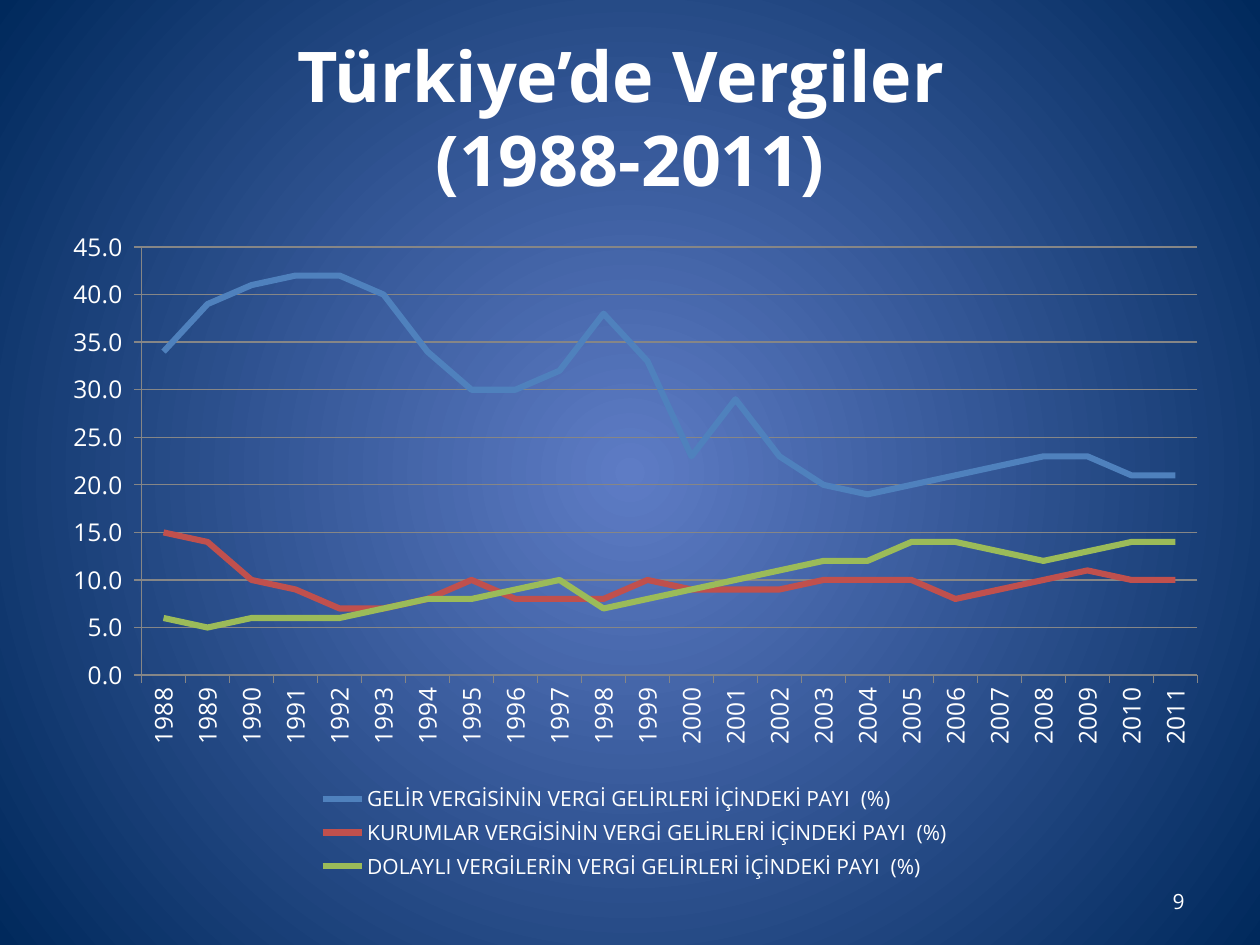
from dataclasses import dataclass
from lxml import etree
from pptx import Presentation
from pptx.chart.data import CategoryChartData
from pptx.dml.color import RGBColor
from pptx.enum.chart import XL_CHART_TYPE, XL_LEGEND_POSITION, XL_TICK_MARK
from pptx.enum.text import MSO_ANCHOR, MSO_AUTO_SIZE, PP_ALIGN
from pptx.oxml import parse_xml
from pptx.oxml.ns import nsdecls, qn
from pptx.util import Pt

LINE = XL_CHART_TYPE.LINE
BOTTOM = XL_LEGEND_POSITION.BOTTOM
OUTSIDE = XL_TICK_MARK.OUTSIDE
MIDDLE = MSO_ANCHOR.MIDDLE
NO_FIT = MSO_AUTO_SIZE.NONE
CENTER, RIGHT = PP_ALIGN.CENTER, PP_ALIGN.RIGHT
SCALE = 914400 / 126


@dataclass(frozen=True)
class Theme:
    """Colours, font and type sizes of the deck."""
    font: str = "Open Sans"
    text: str = "FFFFFF"
    glow: str = "5E7CC5"
    edge: str = "00295C"
    grid: str = "868686"
    lines: tuple = ("4F81BD", "C0504D", "9BBB59")
    title: int = 40
    axis: int = 14
    small: int = 12
    stroke: float = 3.5


THEME = Theme()
YEARS = [str(year) for year in range(1988, 2012)]
SHARES = {
    "GELİR VERGİSİNİN": (
        34, 39, 41, 42, 42, 40, 34, 30, 30, 32, 38, 33,
        23, 29, 23, 20, 19, 20, 21, 22, 23, 23, 21, 21),
    "KURUMLAR VERGİSİNİN": (
        15, 14, 10, 9, 7, 7, 8, 10, 8, 8, 8, 10,
        9, 9, 9, 10, 10, 10, 8, 9, 10, 11, 10, 10),
    "DOLAYLI VERGİLERİN": (
        6, 5, 6, 6, 6, 7, 8, 8, 9, 10, 7, 8,
        9, 10, 11, 12, 12, 14, 14, 13, 12, 13, 14, 14),
}


def px(count):
    """Turn pixels into EMU."""
    return round(count * SCALE)


def rgb(code):
    """Turn a hex code into a colour."""
    return RGBColor.from_string(code)


def style(font, size, bold=False):
    """Give a font the theme's face and colour."""
    font.name, font.size, font.bold = THEME.font, Pt(size), bold
    font.color.rgb = rgb(THEME.text)


def place(shape, box):
    """Move a shape to a pixel box."""
    shape.left, shape.top, shape.width, shape.height = map(px, box)


def paint(slide):
    """Fill the background with a round glow."""
    fill = slide.background.fill
    fill.gradient()
    for stop, code, spot in zip(fill.gradient_stops, (THEME.glow, THEME.edge), (0, 1)):
        stop.color.rgb = rgb(code)
        stop.position = spot
    grad = slide.element.find(".//" + qn("a:gradFill"))
    grad.replace(grad.find(qn("a:lin")), parse_xml(
        f'<a:path {nsdecls("a")} path="circle">'
        '<a:fillToRect l="50000" t="50000" r="50000" b="50000"/></a:path>'))


def add_title(slide, box, rows):
    """Set the title, one run to a row."""
    title = slide.shapes.title
    place(title, box)
    frame = title.text_frame
    frame.auto_size, frame.vertical_anchor = NO_FIT, MIDDLE
    para = frame.paragraphs[0]
    para.alignment = CENTER
    for at, row in enumerate(rows):
        if at:
            para.add_line_break()
        run = para.add_run()
        run.text = row
        style(run.font, THEME.title, True)


def add_number(slide, box, text):
    """Write the page number at the right of its box."""
    shape = slide.shapes.add_textbox(*map(px, box))
    frame = shape.text_frame
    frame.word_wrap, frame.vertical_anchor = True, MIDDLE
    para = frame.paragraphs[0]
    para.alignment = RIGHT
    run = para.add_run()
    run.text = text
    style(run.font, THEME.small)


def fix_plot(chart, box, plot):
    """Pin the inner plot to a pixel box within the chart."""
    left, top, width, height = box
    parts = ((plot[0] - left) / width, (plot[1] - top) / height,
             plot[2] / width, plot[3] / height)
    area = chart._chartSpace.find(".//" + qn("c:plotArea"))
    old = area.find(qn("c:layout"))
    if old is not None:
        area.remove(old)
    layout = etree.Element(qn("c:layout"))
    area.insert(0, layout)
    manual = etree.SubElement(layout, qn("c:manualLayout"))
    pairs = [("layoutTarget", "inner"), ("xMode", "edge"), ("yMode", "edge")]
    pairs += [(tag, f"{part:.3f}") for tag, part in zip("xywh", parts)]
    for tag, val in pairs:
        etree.SubElement(manual, qn("c:" + tag)).set("val", val)


def add_lines(slide, box, plot):
    """Draw the tax shares as a line chart with a legend."""
    data = CategoryChartData(number_format="0.0")
    data.categories = YEARS
    for name, shares in SHARES.items():
        data.add_series(f"{name} VERGİ GELİRLERİ İÇİNDEKİ PAYI  (%)", shares)
    chart = slide.shapes.add_chart(LINE, *map(px, box), data).chart
    style(chart.font, THEME.axis)
    chart.has_title = False
    chart.has_legend = True
    chart.legend.position = BOTTOM
    chart.legend.include_in_layout = False
    style(chart.legend.font, THEME.small)
    chart.plots[0].vary_by_categories = False
    for series, code in zip(chart.plots[0].series, THEME.lines):
        series.smooth = False
        series.format.line.width = Pt(THEME.stroke)
        series.format.line.color.rgb = rgb(code)
    years, share = chart.category_axis, chart.value_axis
    share.minimum_scale, share.maximum_scale, share.major_unit = 0, 45, 5
    share.has_major_gridlines = True
    share.tick_labels.number_format = "0.0_)"
    share.tick_labels.number_format_is_linked = False
    for axis in (years, share):
        axis.major_tick_mark = OUTSIDE
        style(axis.tick_labels.font, THEME.axis)
    years._element.find(".//" + qn("a:bodyPr")).set("rot", "-5400000")
    for part in (years, share, share.major_gridlines):
        part.format.line.width = Pt(0.75)
        part.format.line.color.rgb = rgb(THEME.grid)
    fix_plot(chart, box, plot)


def main():
    """Build the slide and save it."""
    deck = Presentation()
    deck.slide_width, deck.slide_height = px(1260), px(945)
    slide = deck.slides.add_slide(deck.slide_layouts[5])
    paint(slide)
    add_title(slide, (63, 38, 1134, 157), ("Türkiye’de Vergiler ", "(1988-2011)"))
    add_number(slide, (903, 876, 294, 50), "9")
    add_lines(slide, (49, 217, 1172, 669), (142, 247, 1056, 428))
    deck.save("out.pptx")


main()
